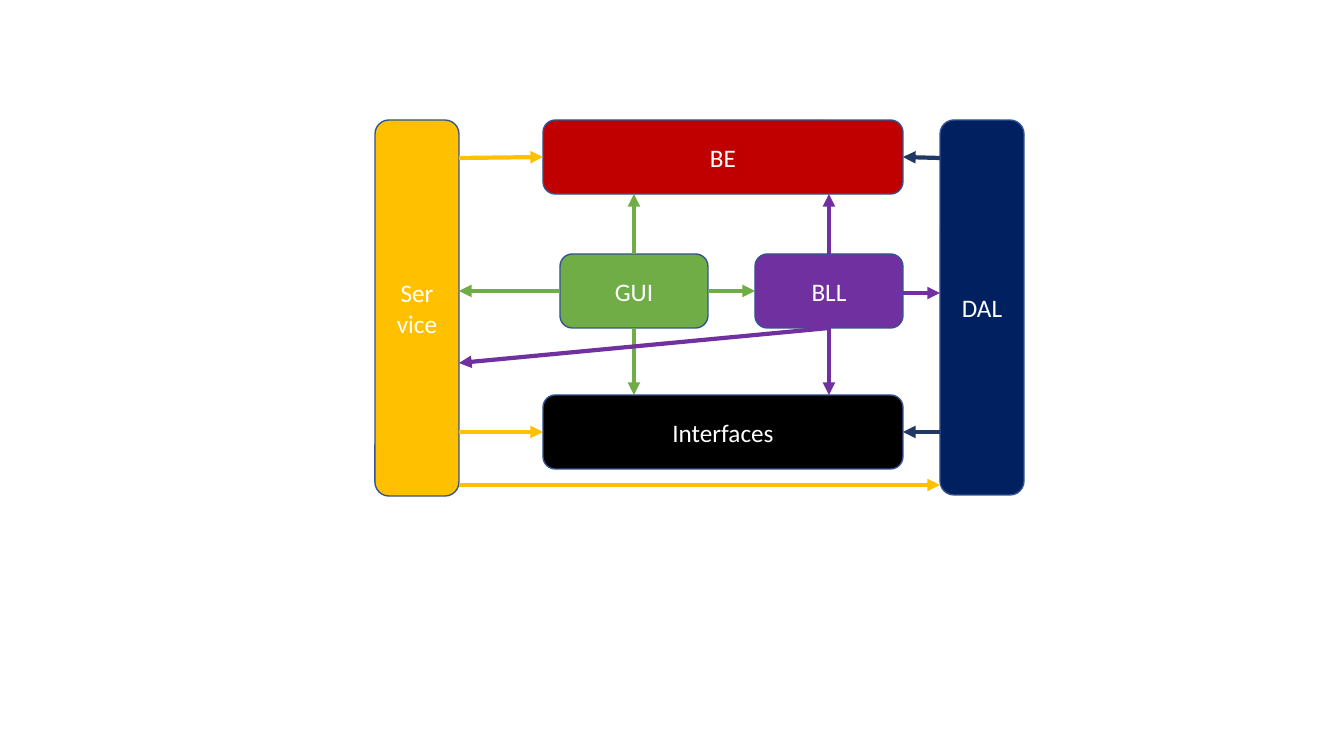
from lxml.etree import SubElement
from pptx import Presentation
from pptx.dml.color import RGBColor
from pptx.enum.shapes import MSO_CONNECTOR, MSO_SHAPE
from pptx.enum.text import MSO_ANCHOR, PP_ALIGN
from pptx.oxml.ns import qn
from pptx.util import Emu, Pt

COLORS = {
    "entities": "C00000",
    "interfaces": "000000",
    "gui": "70AD47",
    "logic": "7030A0",
    "data": "002060",
    "data_arrow": "203864",
    "service": "FFC000",
    "outline": "325491",
    "text": "FFFFFF",
}
TOP, RIGHT, BOTTOM, LEFT = 0, 3, 2, 1


def px(n):
    return Emu(round(n * 914400 / 100.8))


def rgb(name):
    return RGBColor.from_string(COLORS[name])


def write(tf, text, size=18, font="Calibri", color="text", align=PP_ALIGN.CENTER):
    for i, line in enumerate(text.split("\n")):
        p = tf.add_paragraph() if i else tf.paragraphs[0]
        p.alignment = align
        r = p.add_run()
        r.text = line
        r.font.size = Pt(size)
        r.font.name = font
        r.font.color.rgb = rgb(color)


def side_middle(sp, side):
    x = sp.left + sp.width * (1, 0, 1, 2)[side] // 2
    y = sp.top + sp.height * (0, 1, 2, 1)[side] // 2
    return x, y


class Diagram:
    def __init__(self, slide, outline=1, arrow_width=3):
        self.shapes = slide.shapes
        self.outline = Pt(outline)
        self.arrow_width = Pt(arrow_width)

    def box(self, text, color, x, y, w, h):
        sp = self.shapes.add_shape(MSO_SHAPE.ROUNDED_RECTANGLE, px(x), px(y), px(w), px(h))
        sp.shadow.inherit = False
        sp.fill.solid()
        sp.fill.fore_color.rgb = rgb(color)
        sp.line.color.rgb = rgb("outline")
        sp.line.width = self.outline
        tf = sp.text_frame
        tf.word_wrap = True
        tf.vertical_anchor = MSO_ANCHOR.MIDDLE
        write(tf, text)
        return sp

    def arrow(self, color, start, end):
        """Draw from start to end, each an (x, y) in px or a (box, side) to join."""
        joined = [not isinstance(e[0], int) for e in (start, end)]
        points = [side_middle(*e) if j else (px(e[0]), px(e[1]))
                  for e, j in zip((start, end), joined)]
        cxn = self.shapes.add_connector(MSO_CONNECTOR.STRAIGHT, *points[0], *points[1])
        if joined[0]:
            cxn.begin_connect(*start)
        if joined[1]:
            cxn.end_connect(*end)
        cxn.line.color.rgb = rgb(color)
        cxn.line.width = self.arrow_width
        spPr = cxn.element.spPr
        SubElement(spPr.find(qn("a:ln")), qn("a:tailEnd"), type="triangle")
        SubElement(spPr, qn("a:effectLst"))


def main():
    prs = Presentation()
    prs.slide_width, prs.slide_height = px(1344), px(756)
    d = Diagram(prs.slides.add_slide(prs.slide_layouts[6]))

    entities = d.box("BE", "entities", 543, 120, 360, 74)
    interfaces = d.box("Interfaces", "interfaces", 543, 395, 360, 74)
    gui = d.box("GUI", "gui", 560, 254, 148, 74)
    logic = d.box("BLL", "logic", 755, 254, 148, 74)
    d.box("DAL", "data", 940, 120, 84, 375)
    d.box("Ser\nvice", "service", 375, 120, 84, 376)
    service_edge, data_edge = 459, 940

    for color, sp, x in (("gui", gui, 634), ("logic", logic, 829)):
        d.arrow(color, (sp, TOP), (x, 194))
        d.arrow(color, (sp, BOTTOM), (x, 395))
    for sp, y in ((entities, 158), (interfaces, 432)):
        d.arrow("service", (service_edge, y), (sp, LEFT))
        d.arrow("data_arrow", (data_edge, y), (sp, RIGHT))

    d.arrow("gui", (gui, LEFT), (service_edge, 291))
    d.arrow("gui", (gui, RIGHT), (logic, LEFT))
    d.arrow("logic", (903, 293), (data_edge, 293))
    d.arrow("logic", (logic, BOTTOM), (service_edge, 363))
    d.arrow("service", (service_edge, 485), (data_edge, 485))

    prs.save("out.pptx")


if __name__ == "__main__":
    main()
